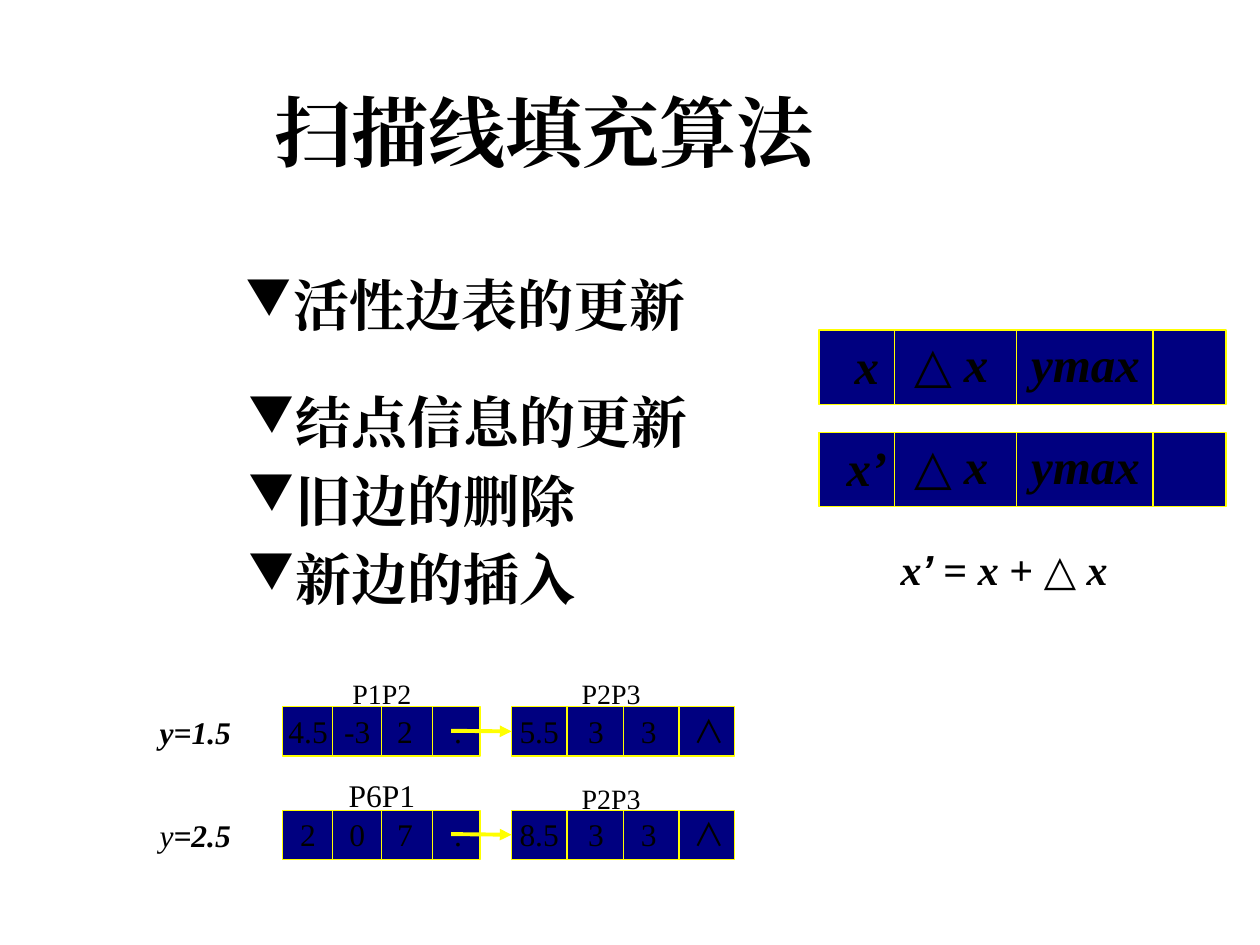
from dataclasses import dataclass

from lxml import etree
from pptx import Presentation
from pptx.dml.color import RGBColor
from pptx.enum.shapes import MSO_CONNECTOR, MSO_SHAPE
from pptx.enum.text import MSO_ANCHOR, PP_ALIGN
from pptx.oxml.ns import qn
from pptx.util import Pt

SCALE = 9144
RECT = MSO_SHAPE.RECTANGLE
LINE = MSO_CONNECTOR.STRAIGHT
MID = MSO_ANCHOR.MIDDLE
LEFT, CENTER = PP_ALIGN.LEFT, PP_ALIGN.CENTER


@dataclass(frozen=True)
class Theme:
    """Hold the colours, fonts and type sizes."""
    ink: RGBColor = RGBColor(0, 0, 0)
    navy: RGBColor = RGBColor(0, 0, 128)
    gold: RGBColor = RGBColor(255, 255, 0)
    serif: str = "Times New Roman"
    sans: str = "Arial"
    sign: str = "Noto Sans CJK SC"
    title: int = 44
    list: int = 32
    field: int = 28
    rule: int = 24
    cell: int = 18
    name: int = 16


THEME = Theme()


def px(*nums):
    """Turn px into EMU."""
    return [num * SCALE for num in nums]


def style(run, size, bold=False, slant=False, font=THEME.serif):
    """Format one run."""
    face = run.font
    face.size, face.bold, face.italic = Pt(size), bold, slant
    face.name, face.color.rgb = font, THEME.ink
    east = etree.SubElement(run._r.get_or_add_rPr(), qn("a:ea"))
    east.set("typeface", font)


def label(slide, box, parts, size, align=CENTER):
    """Add a text line from parts of text, bold, slant and font."""
    frame = slide.shapes.add_textbox(*px(*box)).text_frame
    frame.word_wrap = True
    para = frame.paragraphs[0]
    para.alignment = align
    for text, *look in parts:
        run = para.add_run()
        run.text = text
        style(run, size, *look)
    return para


def wire(slide, start, end, width):
    """Add a plain gold line."""
    line = slide.shapes.add_connector(LINE, *px(*start, *end))
    line.line.color.rgb, line.line.width = THEME.gold, Pt(width)
    etree.SubElement(line._element.spPr, qn("a:effectLst"))
    return line


def node(slide, box, cuts, cells, size):
    """Add a record box with dividers and a label for each cell."""
    left, top, wide, high = box
    rect = slide.shapes.add_shape(RECT, *px(*box))
    rect.shadow.inherit = False
    rect.fill.solid()
    rect.fill.fore_color.rgb = THEME.navy
    rect.line.color.rgb, rect.line.width = THEME.gold, Pt(0.75)
    for cut in cuts:
        wire(slide, (left + cut, top), (left + cut, top + high), 0.75)
    for shift, drop, room, parts in cells:
        spot = (left + shift, top + drop, room, high)
        label(slide, spot, parts, size)
    return rect


def title(slide, box, text):
    """Place the slide title."""
    head = slide.shapes.title
    head.left, head.top, head.width, head.height = px(*box)
    frame = head.text_frame
    frame.text, frame.vertical_anchor = text, MID
    para = frame.paragraphs[0]
    para.alignment = LEFT
    style(para.runs[0], THEME.title, True)


def bullets(slide, box, items):
    """Add a list with triangle bullets."""
    frame = slide.shapes.add_textbox(*px(*box)).text_frame
    frame.word_wrap = True
    frame.text = "\n".join(items)
    for para in frame.paragraphs:
        para.space_before = Pt(6.4)
        style(para.runs[0], THEME.list, True)
        props = para._p.get_or_add_pPr()
        props.set("marL", str(38 * SCALE))
        props.set("indent", str(-38 * SCALE))
        tint = etree.SubElement(props, qn("a:buClr"))
        etree.SubElement(tint, qn("a:srgbClr")).set("val", str(THEME.ink))
        etree.SubElement(props, qn("a:buSzPct")).set("val", "90000")
        etree.SubElement(props, qn("a:buChar")).set("char", "▼")


def fields(slide, box, first):
    """Add one edge record with its field names."""
    cells = [
        (-16, -1, 108, [(first, True, True)]),
        (36, -2, 138, [("△ ", True), ("x", True, True)]),
        (134, -2, 155, [("ymax", True, True)]),
    ]
    node(slide, box, (60, 157, 265), cells, THEME.field)


def formula(slide, box):
    """Add the rule that updates x."""
    parts = [
        ("x", True, True), ("’ ", True, True, THEME.sans), ("= ", True),
        ("x ", True, True), ("+ △ ", True), ("x", True, True),
    ]
    label(slide, box, parts, THEME.rule, LEFT).line_spacing = 0.85


def chain(slide, box, scan, names, rows):
    """Add a scan line with two linked edge records."""
    left, top, high = box
    label(slide, (left, top, 110, 40), scan, THEME.cell)
    spans = ((124, 157, (40, 79, 119), (-15, 24, 62, 104), 71),
             (306, 177, (44, 89, 133), (-18, 27, 69, 117), 80))
    rects = []
    for (start, wide, cuts, shifts, room), row in zip(spans, rows):
        cells = [(shift, -1, room, [(text, False, False, font)])
                 for shift, text, font in zip(shifts, row, fonts(row))]
        spot = (left + start, top, wide, high)
        rects.append(node(slide, spot, cuts, cells, THEME.cell))
    mid = top + high // 2
    link = wire(slide, (left + 258, mid), (left + 306, mid), 2.25)
    link.end_connect(rects[1], 1)
    tail = etree.SubElement(link.line._get_or_add_ln(), qn("a:tailEnd"))
    tail.set("type", "triangle")
    for shift, (text, rise, size) in zip((132, 314), names):
        spot = (left + shift, top - rise, 142, 37)
        label(slide, spot, [(text,)], size)


def fonts(row):
    """Give the font of each cell in a row."""
    return [THEME.sign if text == "∧" else THEME.serif for text in row]


def main():
    """Build the slide."""
    deck = Presentation()
    deck.slide_width, deck.slide_height = px(1000, 750)
    slide = deck.slides.add_slide(deck.slide_layouts[5])
    title(slide, (208, 25, 775, 158), "扫描线填充算法")
    bullets(slide, (185, 210, 417, 87), ["活性边表的更新"])
    bullets(slide, (187, 303, 431, 198),
            ["结点信息的更新", "旧边的删除", "新边的插入"])
    formula(slide, (705, 433, 213, 44))
    for top, first in ((262, "x"), (343, "x’")):
        fields(slide, (650, top, 323, 59), first)
    chain(slide, (100, 561, 39), [("y=1.5", True, True)],
          [("P1P2", 29, THEME.name), ("P2P3", 29, THEME.name)],
          [("4.5", "-3", "2", "."), ("5.5", "3", "3", "∧")])
    chain(slide, (100, 643, 39), [("y", False, True), ("=2.5", True, True)],
          [("P6P1", 32, THEME.cell), ("P2P3", 28, THEME.name)],
          [("2", "0", "7", "."), ("8.5", "3", "3", "∧")])
    deck.save("out.pptx")


if __name__ == "__main__":
    main()
